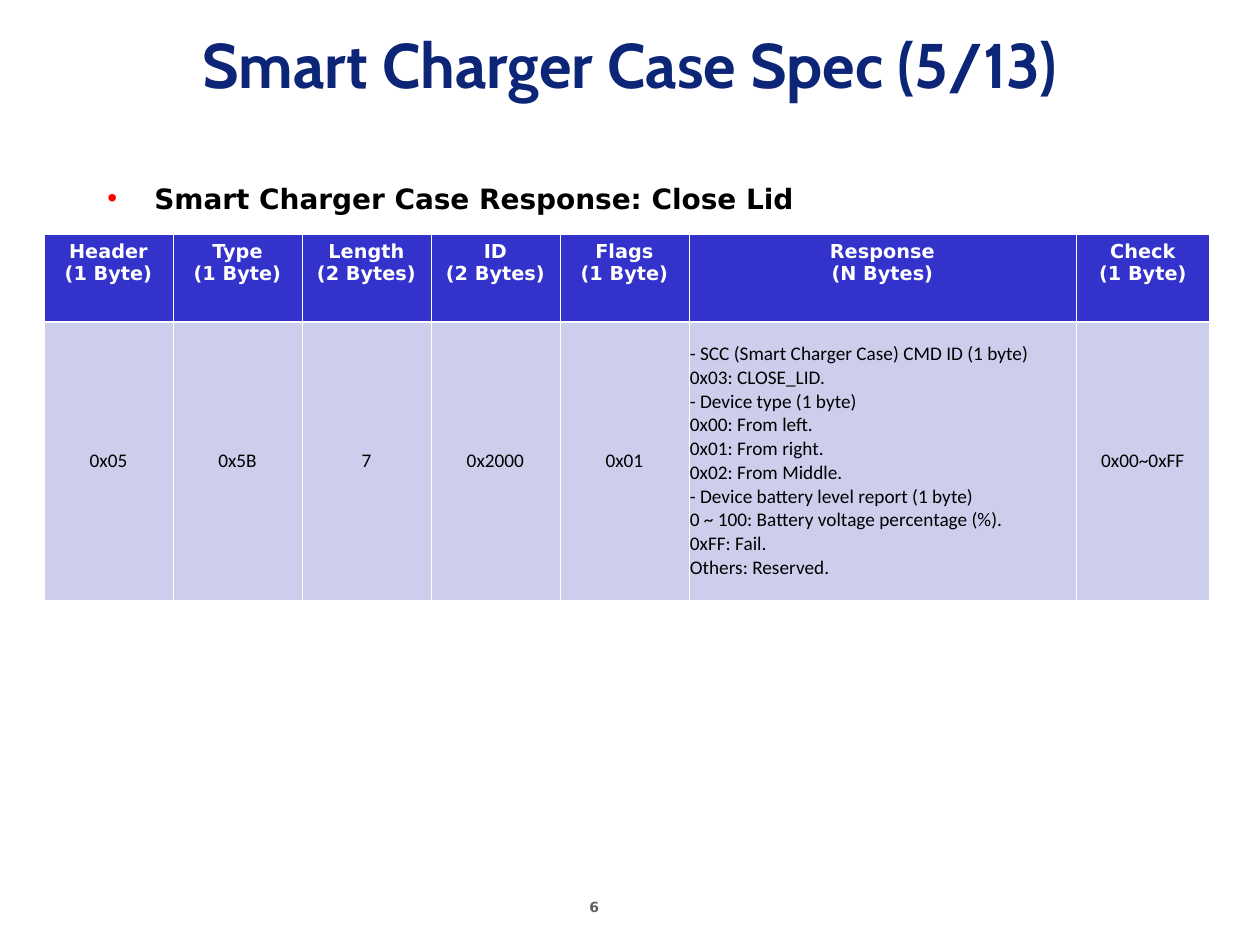
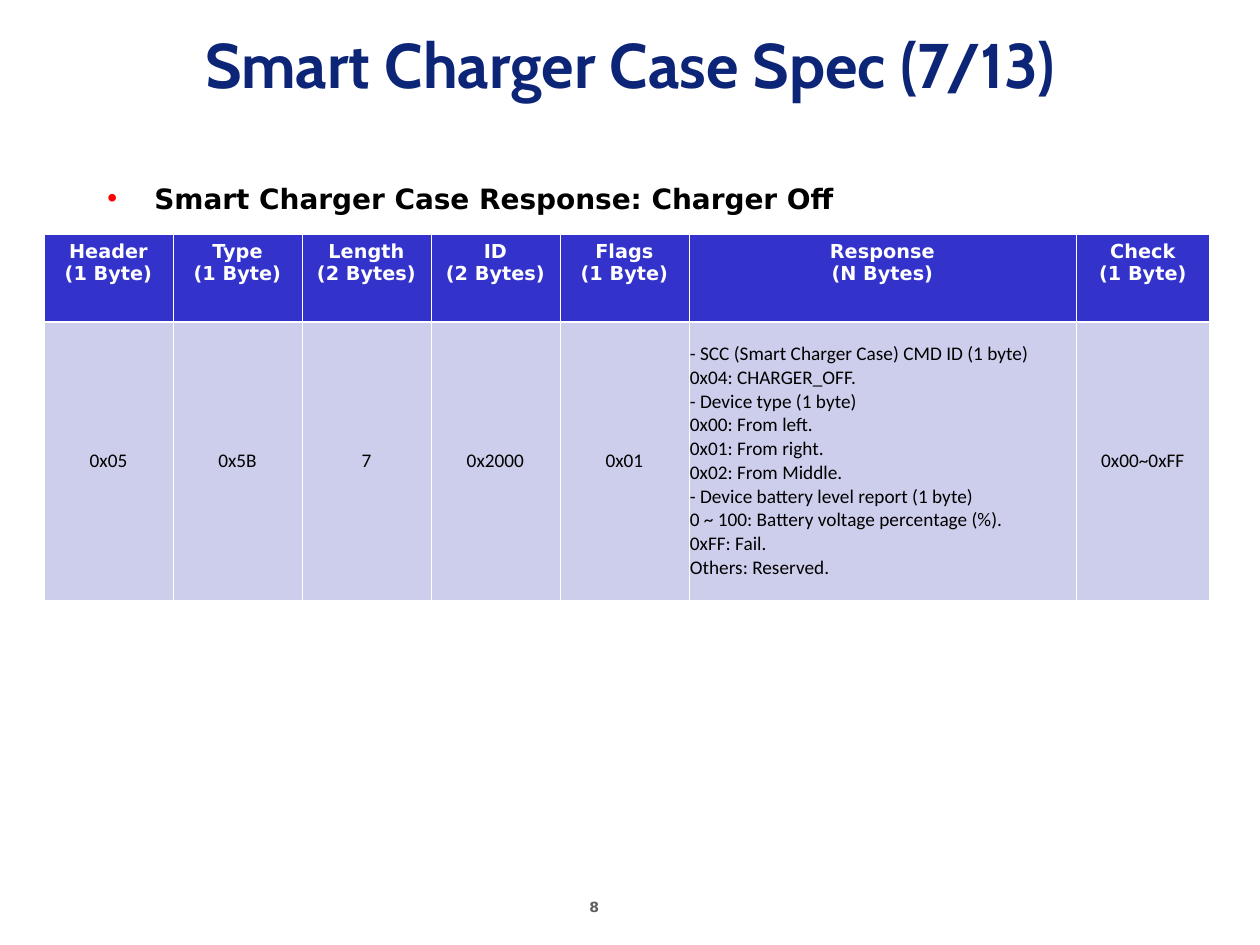
from lxml.etree import SubElement
from pptx import Presentation
from pptx.dml.color import RGBColor
from pptx.enum.text import MSO_ANCHOR as ANCHOR, PP_ALIGN as ALIGN
from pptx.oxml.ns import qn
from pptx.util import Emu, Pt

COLORS = {
    "title": "0C2577",
    "text": "000000",
    "bullet": "FF0000",
    "number": "5F5F5F",
    "head": "3333CC",
    "body": "CDCDEC",
    "white": "FFFFFF",
}
HEADING_FONT, LABEL_FONT, BODY_FONT = "Cabin", "DejaVu Sans", "Calibri"
COL_W = [129] * 5 + [387, 134]
ROW_H = [88, 278]
HEADS = [
    ("Header", "1 Byte"), ("Type", "1 Byte"), ("Length", "2 Bytes"),
    ("ID", "2 Bytes"), ("Flags", "1 Byte"), ("Response", "N Bytes"),
    ("Check", "1 Byte"),
]
# page number, part of 13, response name, command code
SLIDES = [
    (6, 5, "Close Lid", "0x03: CLOSE_LID."),
    (8, 7, "Charger Off", "0x04: CHARGER_OFF."),
]


def px(n):
    """Length in EMU of n pixels, at 126 to the inch."""
    return Emu(round(n * 914400 / 126))


def write(tf, *lines, size=11, font=LABEL_FONT, color="text", bold=True, align=ALIGN.LEFT):
    """Fill a text frame with one paragraph a line."""
    tf.word_wrap = True
    for i, line in enumerate(lines):
        p = tf.add_paragraph() if i else tf.paragraphs[0]
        p.alignment = align
        r = p.add_run()
        r.text = line
        r.font.size = Pt(size)
        r.font.name = font
        r.font.bold = bold
        r.font.color.rgb = RGBColor.from_string(COLORS[color])


prs = Presentation()
prs.slide_width, prs.slide_height = px(1260), px(945)

for number, part, response, command in SLIDES:
    s = prs.slides.add_slide(prs.slide_layouts[6])

    tf = s.shapes.add_textbox(px(577), px(892), px(97), px(33)).text_frame
    write(tf, str(number), size=8, color="number")

    tf = s.shapes.add_textbox(0, 0, px(1260), px(126)).text_frame
    tf.vertical_anchor = ANCHOR.MIDDLE
    write(tf, f"Smart Charger Case Spec ({part}/13)", size=36, font=HEADING_FONT,
          color="title", align=ALIGN.CENTER)

    tf = s.shapes.add_textbox(px(95), px(175), px(1165), px(651)).text_frame
    write(tf, f"Smart Charger Case Response: {response}", size=16)
    p = tf.paragraphs[0]
    p.space_before = Pt(4)
    pPr = p._p.get_or_add_pPr()
    pPr.set("marL", str(px(47)))
    pPr.set("indent", str(-px(47)))
    SubElement(SubElement(pPr, qn("a:buClr")), qn("a:srgbClr"), val=COLORS["bullet"])
    SubElement(pPr, qn("a:buFont"), typeface="Arial")
    SubElement(pPr, qn("a:buChar"), char="•")

    report = [
        "- SCC (Smart Charger Case) CMD ID (1 byte)",
        command,
        "- Device type (1 byte)",
        "0x00: From left.",
        "0x01: From right.",
        "0x02: From Middle.",
        "- Device battery level report (1 byte)",
        "0 ~ 100: Battery voltage percentage (%).",
        "0xFF: Fail.",
        "Others: Reserved.",
    ]
    values = [["0x05"], ["0x5B"], ["7"], ["0x2000"], ["0x01"], report, ["0x00~0xFF"]]

    table = s.shapes.add_table(2, len(COL_W), px(44), px(234),
                               px(sum(COL_W)), px(sum(ROW_H))).table
    table.horz_banding = False
    for row, h in zip(table.rows, ROW_H):
        row.height = px(h)
    for c, w in enumerate(COL_W):
        table.columns[c].width = px(w)
        head, body = table.cell(0, c), table.cell(1, c)

        for cell, fill, thick in ((head, "head", "lnB"), (body, "body", "lnT")):
            tcPr = cell._tc.get_or_add_tcPr()
            for side in ("lnL", "lnR", "lnT", "lnB"):
                width = Pt(1.47 if side == thick else 0.45)
                ln = SubElement(tcPr, qn(f"a:{side}"), w=str(width))
                SubElement(SubElement(ln, qn("a:solidFill")), qn("a:srgbClr"),
                           val=COLORS["white"])
            cell.fill.solid()
            cell.fill.fore_color.rgb = RGBColor.from_string(COLORS[fill])

        name, length = HEADS[c]
        write(head.text_frame, name, f"({length})", color="white", align=ALIGN.CENTER)

        body.margin_left = body.margin_right = px(1)
        body.vertical_anchor = ANCHOR.MIDDLE
        write(body.text_frame, *values[c], font=BODY_FONT, bold=False,
              align=ALIGN.LEFT if name == "Response" else ALIGN.CENTER)

prs.save("out.pptx")
